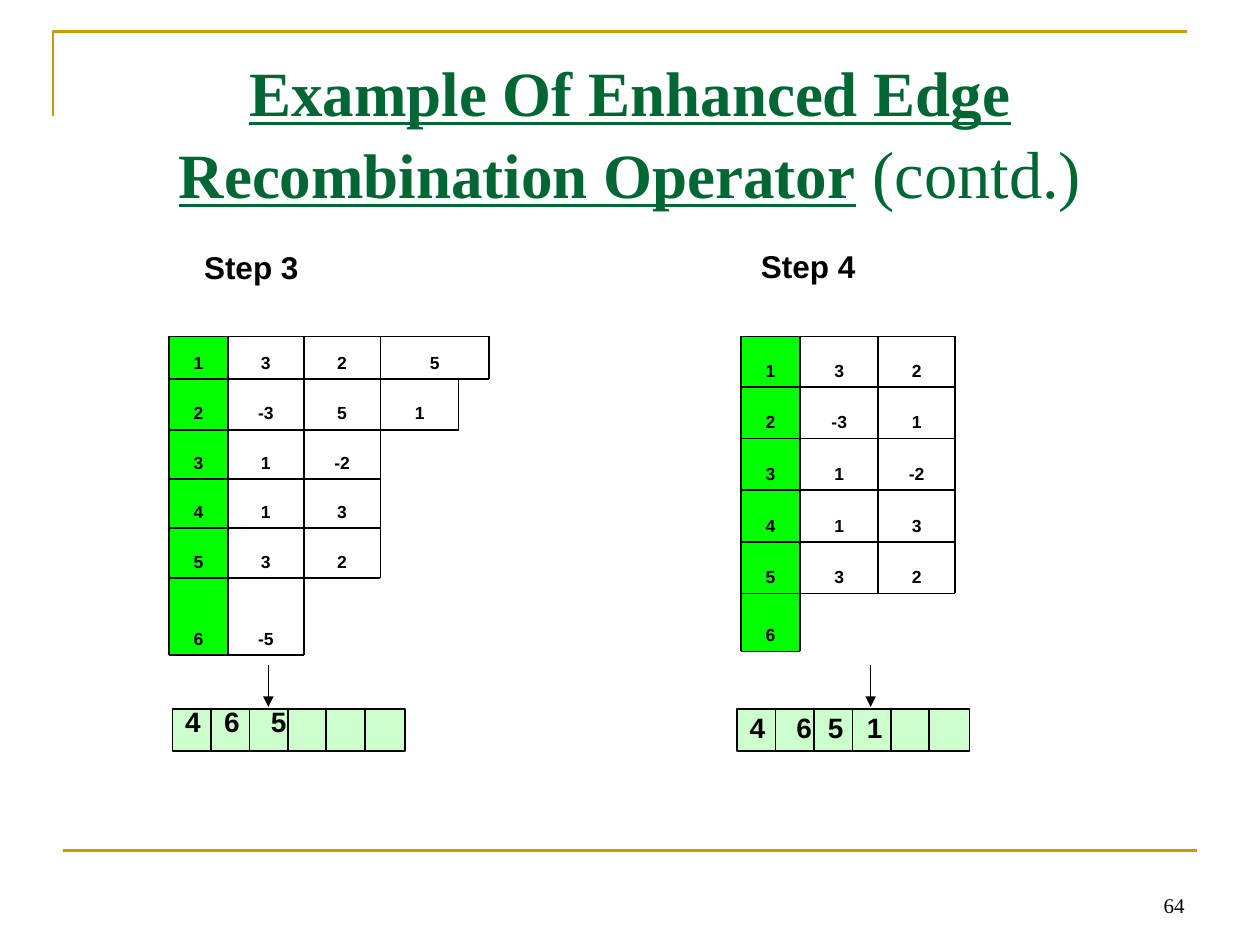
import pptx
import pptx.dml.color
import pptx.enum.shapes
import pptx.enum.text
import pptx.util
from lxml import etree
from pptx.oxml.ns import qn
from pptx.util import Inches

ALIGN = pptx.enum.text.PP_ALIGN
ANCHOR = pptx.enum.text.MSO_ANCHOR


def color(value):
    return pptx.dml.color.RGBColor.from_string(value)


class SlideBuilder:
    BLACK = "000000"
    GOLD = "CC9900"
    TITLE_GREEN = "006633"
    KEY_GREEN = "00FF00"
    TOUR_GREEN = "CCFFCC"
    SANS = "Arial"
    SERIF = "Times New Roman"

    def __init__(self, presentation):
        self.slide = presentation.slides.add_slide(presentation.slide_layouts[5])

    def style(self, font, size, name, value, bold=False):
        font.size = pptx.util.Pt(size)
        font.name = name
        font.bold = bold
        font.color.rgb = color(value)

    def title(self, underlined, plain):
        shape = self.slide.shapes.title
        shape.left, shape.top = Inches(0.5), Inches(0.3)
        shape.width, shape.height = Inches(9), Inches(1.25)
        frame = shape.text_frame
        frame.word_wrap = True
        frame.auto_size = pptx.enum.text.MSO_AUTO_SIZE.NONE
        frame.vertical_anchor = ANCHOR.TOP
        frame.margin_top = Inches(0.1)
        paragraph = frame.paragraphs[0]
        paragraph.alignment = ALIGN.CENTER
        paragraph.line_spacing = 1.04
        for text, size, marked in ((underlined, 36, True), (plain, 38, False)):
            run = paragraph.add_run()
            run.text = text
            self.style(run.font, size, self.SERIF, self.TITLE_GREEN, marked)
            run.font.underline = marked

    def text(self, text, left, top, width, height, size=10, name=SANS,
             bold=True, align=ALIGN.CENTER, anchor=ANCHOR.TOP, tabs=(), indent=0.1):
        shape = self.slide.shapes.add_textbox(
            Inches(left), Inches(top), Inches(width), Inches(height))
        frame = shape.text_frame
        frame.word_wrap = True
        frame.vertical_anchor = anchor
        frame.margin_left = Inches(indent)
        frame.text = text
        paragraph = frame.paragraphs[0]
        paragraph.alignment = align
        if tabs:
            tab_list = etree.SubElement(paragraph._p.get_or_add_pPr(), qn("a:tabLst"))
            for position in tabs:
                etree.SubElement(tab_list, qn("a:tab"), pos=str(Inches(position)), algn="l")
        for run in paragraph.runs:
            self.style(run.font, size, name, self.BLACK, bold)
        return shape

    def box(self, left, top, width, height, fill, line=None, text=""):
        shape = self.slide.shapes.add_shape(
            pptx.enum.shapes.MSO_SHAPE.RECTANGLE,
            Inches(left), Inches(top), Inches(width), Inches(height))
        shape.shadow.inherit = False
        shape.fill.solid()
        shape.fill.fore_color.rgb = color(fill)
        if line:
            shape.line.color.rgb = color(line)
            shape.line.width = pptx.util.Pt(1)
        else:
            shape.line.fill.background()
        if text:
            frame = shape.text_frame
            frame.text = text
            frame.vertical_anchor = ANCHOR.BOTTOM
            frame.paragraphs[0].alignment = ALIGN.CENTER
            self.style(frame.paragraphs[0].runs[0].font, 10, self.SANS, self.BLACK, True)

    def line(self, x1, y1, x2, y2, value=BLACK, width=1, arrow=False):
        connector = self.slide.shapes.add_connector(
            pptx.enum.shapes.MSO_CONNECTOR.STRAIGHT,
            Inches(x1), Inches(y1), Inches(x2), Inches(y2))
        connector.line.color.rgb = color(value)
        connector.line.width = pptx.util.Pt(width)
        if arrow:
            etree.SubElement(connector.line._get_or_add_ln(), qn("a:tailEnd"), type="triangle")
        etree.SubElement(connector._element.spPr, qn("a:effectLst"))

    def corner(self):
        builder = self.slide.shapes.build_freeform(Inches(0.42), Inches(0.92))
        builder.add_line_segments(
            [(Inches(0.42), Inches(0.25)), (Inches(9.42), Inches(0.25))], close=False)
        shape = builder.convert_to_shape()
        shape.shadow.inherit = False
        shape.fill.background()
        shape.line.color.rgb = color(self.GOLD)
        shape.line.width = pptx.util.Pt(1.5)

    def edge_table(self, rows, columns, tops, short_rows=None):
        short_rows = short_rows or {}
        edges = []
        for index, values in enumerate(rows):
            row_edges = columns[:len(values) + 1]
            row_edges[-1] = short_rows.get(index, row_edges[-1])
            edges.append(row_edges)
            top, height = tops[index], tops[index + 1] - tops[index]
            for column, value in enumerate(values):
                left, width = row_edges[column], row_edges[column + 1] - row_edges[column]
                if column == 0:
                    self.box(left, top, width, height, self.KEY_GREEN, text=value)
                else:
                    self.text(value, left, top, width, height, anchor=ANCHOR.BOTTOM)
        for index, top in enumerate(tops):
            neighbours = edges[max(index - 1, 0):index + 1]
            self.line(columns[0], top, max(row[-1] for row in neighbours), top)
        for edge in sorted(set(sum(edges, []))):
            touching = [index for index, row in enumerate(edges) if edge in row]
            self.line(edge, tops[touching[0]], edge, tops[touching[-1] + 1])

    def tour(self, left, text, text_top, tabs, arrow_x):
        for index in range(6):
            self.box(left + index * 0.305, 5.63, 0.32, 0.33, self.TOUR_GREEN, self.BLACK)
        self.line(arrow_x, 5.28, arrow_x, 5.61, width=0.75, arrow=True)
        self.text(text, left - 0.06, text_top, 1.96, 0.49, size=16,
                  align=ALIGN.LEFT, tabs=tabs, indent=0.16)


def main():
    presentation = pptx.Presentation()
    presentation.slide_width = Inches(10)
    presentation.slide_height = Inches(7.5)
    builder = SlideBuilder(presentation)

    builder.corner()
    builder.line(0.5, 6.75, 9.5, 6.75, builder.GOLD, 1.5)
    builder.text("64", 7.17, 6.83, 2.33, 0.5, size=12, name=builder.SERIF,
                 bold=False, align=ALIGN.RIGHT, anchor=ANCHOR.BOTTOM)
    builder.title("Example Of Enhanced Edge Recombination Operator", " (contd.)")

    builder.tour(1.37, "4\t6\t5", 5.54, (0.31, 0.68), 2.13)
    builder.tour(5.85, "4\t6\t5\t1", 5.59, (0.37, 0.62, 0.93), 6.91)

    builder.edge_table(
        [["1", "3", "2"], ["2", "-3", "1"], ["3", "1", "-2"],
         ["4", "1", "3"], ["5", "3", "2"], ["6"]],
        [5.88, 6.35, 6.97, 7.58],
        [2.67, 3.07, 3.48, 3.89, 4.3, 4.71, 5.17])
    builder.edge_table(
        [["1", "3", "2", "5"], ["2", "-3", "5", "1"], ["3", "1", "-2"],
         ["4", "1", "3"], ["5", "3", "2"], ["6", "-5"]],
        [1.34, 1.81, 2.41, 3.02, 3.88],
        [2.67, 3.01, 3.41, 3.8, 4.19, 4.59, 5.2],
        short_rows={1: 3.64})

    for label, left, top in (("Step 3", 1.08, 1.92), ("Step 4", 5.5, 1.91)):
        shape = builder.text(label, left, top, 1.83, 0.4, size=18)
        shape.text_frame.auto_size = pptx.enum.text.MSO_AUTO_SIZE.SHAPE_TO_FIT_TEXT

    presentation.save("out.pptx")


if __name__ == "__main__":
    main()
